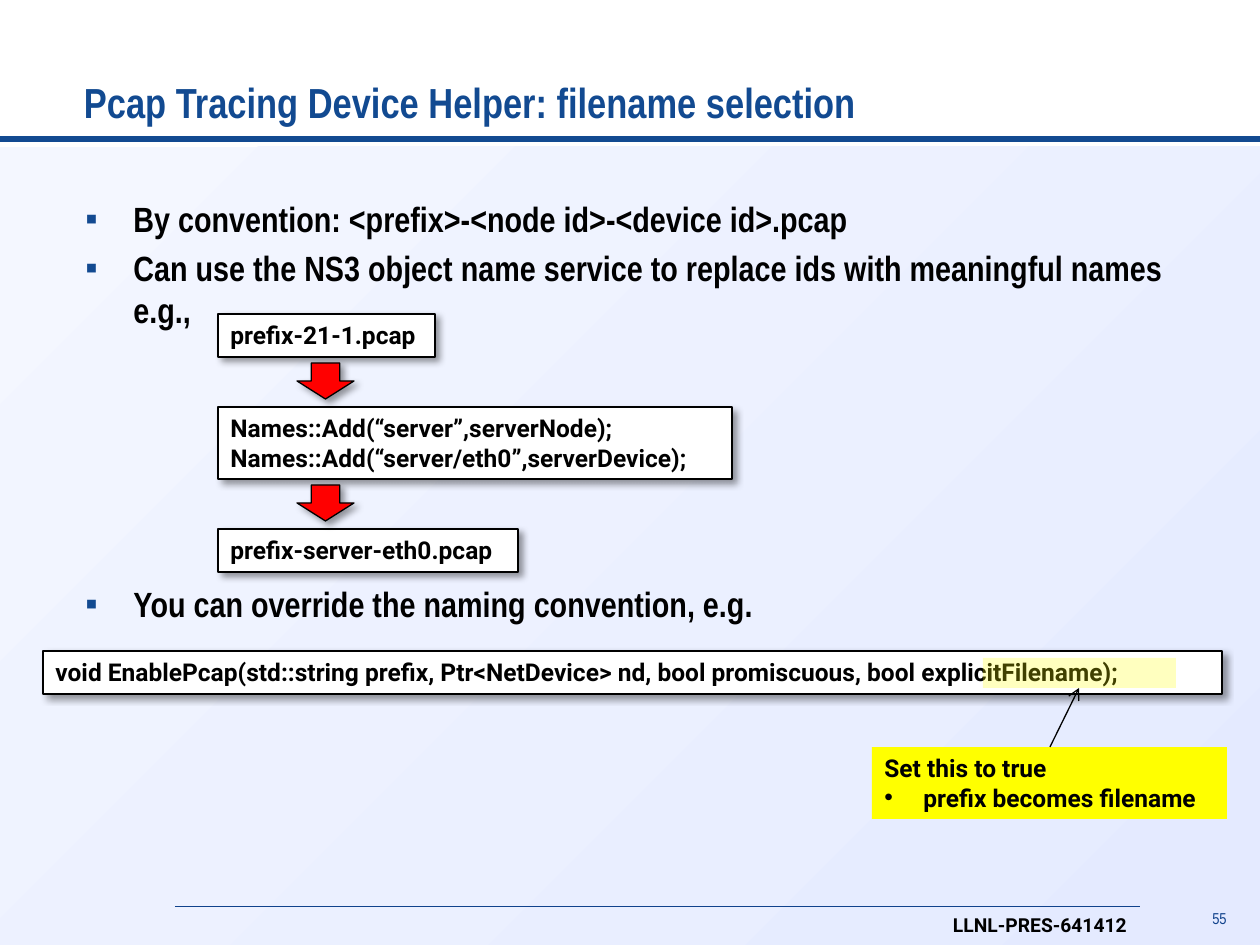
"""Build the slide on choosing file names for pcap traces."""
from dataclasses import dataclass
from typing import Optional

from lxml import etree
from pptx import Presentation
from pptx import util as u
from pptx.dml.color import RGBColor
from pptx.enum import shapes, text
from pptx.oxml.ns import qn

PX = 914400 / 126
NAVY, BLUE, BLACK, WHITE = "124A91", "10428C", "000000", "FFFFFF"
RED, YELLOW = "FF0000", "FFFF00"
NARROW, ROBOTO = "Arial Narrow", "Roboto"
RECT, ARROW = shapes.MSO_SHAPE.RECTANGLE, shapes.MSO_SHAPE.DOWN_ARROW
LEFT, RIGHT = text.PP_ALIGN.LEFT, text.PP_ALIGN.RIGHT
TOP, BOTTOM = text.MSO_ANCHOR.TOP, text.MSO_ANCHOR.BOTTOM


@dataclass
class Box:
    """A filled shape, optionally outlined with a shadow and holding text."""
    x: int
    y: int
    w: int
    h: int
    fill: str = WHITE
    lines: tuple = ()
    kind: int = RECT
    framed: bool = True
    alpha: Optional[int] = None


@dataclass
class Label:
    """A plain text box."""
    x: int
    y: int
    w: int
    h: int
    words: str
    size: int
    font: str
    color: str
    bold: bool = True
    align: int = LEFT
    anchor: int = TOP
    inset: int = 13


def px(n: int) -> u.Emu:
    """Turn px into EMU."""
    return u.Emu(round(n * PX))


def rgb(value: str) -> RGBColor:
    """Turn a hex string into a colour."""
    return RGBColor.from_string(value)


def add_xml(parent, tag: str, **attrs):
    """Append a DrawingML element with attributes."""
    return etree.SubElement(parent, qn(tag), {k: str(v) for k, v in attrs.items()})


def add_shadow(sp) -> None:
    """Give a shape a soft shadow to its lower right."""
    sp.shadow.inherit = False
    effects = sp._element.spPr.find(qn("a:effectLst"))
    shadow = add_xml(effects, "a:outerShdw", blurRad=u.Pt(4), dist=u.Pt(3),
                     dir=45 * 60000, algn="tl", rotWithShape=0)
    add_xml(add_xml(shadow, "a:srgbClr", val=BLACK), "a:alpha", val=40000)


def add_bullet(p, char: str, indent: int, color: str) -> None:
    """Give a paragraph a hanging bullet."""
    pPr = p._p.get_or_add_pPr()
    pPr.set("marL", str(px(indent)))
    pPr.set("indent", str(-px(indent)))
    add_xml(add_xml(pPr, "a:buClr"), "a:srgbClr", val=color)
    add_xml(pPr, "a:buFont", typeface="Arial")
    add_xml(pPr, "a:buChar", char=char)


def set_font(p, size: int, font: str, color: str, bold: bool = True) -> None:
    """Format every run of a paragraph."""
    for r in p.runs:
        r.font.size, r.font.name, r.font.bold = u.Pt(size), font, bold
        r.font.color.rgb = rgb(color)


def draw_box(s, b: Box):
    """Draw a box with its text."""
    sp = s.shapes.add_shape(b.kind, px(b.x), px(b.y), px(b.w), px(b.h))
    sp.fill.solid()
    sp.fill.fore_color.rgb = rgb(b.fill)
    if b.alpha is not None:
        clr = sp._element.spPr.find(qn("a:solidFill"))[0]
        add_xml(clr, "a:alpha", val=b.alpha * 1000)
    if b.framed:
        sp.line.color.rgb, sp.line.width = rgb(BLACK), u.Pt(0.75)
        add_shadow(sp)
    else:
        sp.line.fill.background()
        sp.shadow.inherit = False
    if b.lines:
        tf = sp.text_frame
        tf.word_wrap, tf.vertical_anchor = True, TOP
        tf.text = "\n".join(b.lines)
        for p in tf.paragraphs:
            p.alignment = LEFT
            set_font(p, 14, ROBOTO, BLACK)
    return sp


def draw_label(s, t: Label):
    """Draw a one-paragraph text box."""
    tf = s.shapes.add_textbox(px(t.x), px(t.y), px(t.w), px(t.h)).text_frame
    tf.word_wrap, tf.vertical_anchor, tf.margin_left = True, t.anchor, px(t.inset)
    tf.text = t.words
    p = tf.paragraphs[0]
    p.alignment = t.align
    set_font(p, t.size, t.font, t.color, t.bold)
    return p


def draw_line(s, x1: int, y1: int, x2: int, y2: int, color: str, width: float):
    """Draw a straight line without a shadow."""
    line = s.shapes.add_connector(shapes.MSO_CONNECTOR.STRAIGHT,
                                  px(x1), px(y1), px(x2), px(y2))
    line.line.color.rgb, line.line.width = rgb(color), u.Pt(width)
    add_xml(line._element.spPr, "a:effectLst")
    return line


def draw_frame(s) -> None:
    """Draw the background, rules, footer and title."""
    panel = draw_box(s, Box(0, 147, 1260, 798, framed=False))
    panel.fill.gradient()
    panel.fill.gradient_angle = 315
    for stop, color in zip(panel.fill.gradient_stops, ("F4F7FF", "E4EAFF")):
        stop.color.rgb = rgb(color)
    draw_box(s, Box(0, 136, 1260, 6, NAVY, framed=False))
    draw_line(s, 175, 906, 1140, 906, BLUE, 0.5)
    number = draw_label(s, Label(1196, 907, 43, 28, "55", 9, NARROW, BLUE,
                                 bold=False, align=RIGHT, inset=0))
    number.line_spacing = 0.75
    draw_label(s, Label(940, 907, 205, 37, "LLNL-PRES-641412", 11, ROBOTO, BLACK))
    draw_label(s, Label(84, 21, 1095, 112, "Pcap Tracing Device Helper: filename selection",
                        24, NARROW, NAVY, anchor=BOTTOM, inset=0))


def draw_body(s) -> None:
    """Draw the bulleted points, leaving room for the diagram."""
    points = (("By convention: <prefix>-<node id>-<device id>.pcap", 0),
              ("Can use the NS3 object name service to replace ids with "
               "meaningful names e.g.,", 4),
              ("You can override the naming convention, e.g.", 144))
    tf = s.shapes.add_textbox(px(73), px(191), px(1113), px(650)).text_frame
    tf.word_wrap = True
    tf.text = "\n".join(words for words, _ in points)
    for p, (_, before) in zip(tf.paragraphs, points):
        p.space_before = u.Pt(before)
        add_bullet(p, "▪", 48, NAVY)
        set_font(p, 20, NARROW, BLACK)


def draw_diagram(s) -> None:
    """Draw the renaming steps, the signature and its callout."""
    steps = (Box(218, 314, 217, 43, lines=("prefix-21-1.pcap",)),
             Box(218, 407, 514, 72, lines=("Names::Add(“server”,serverNode);",
                                           "Names::Add(“server/eth0”,serverDevice);")),
             Box(218, 529, 300, 43, lines=("prefix-server-eth0.pcap",)))
    for step in steps:
        draw_box(s, step)
    for step in steps[:-1]:
        draw_box(s, Box(297, step.y + step.h + 6, 57, 36, RED, kind=ARROW))
    callout = draw_box(s, Box(872, 747, 355, 72, YELLOW, framed=False,
                              lines=("Set this to true", "prefix becomes filename")))
    add_bullet(callout.text_frame.paragraphs[1], "•", 39, BLACK)
    draw_box(s, Box(43, 651, 1179, 43, lines=(
        "void EnablePcap(std::string prefix, Ptr<NetDevice> nd, "
        "bool promiscuous, bool explicitFilename);",)))
    draw_box(s, Box(983, 658, 193, 30, YELLOW, framed=False, alpha=25))
    pointer = draw_line(s, 1050, 747, 1079, 688, BLACK, 0.75)
    add_xml(pointer.line._get_or_add_ln(), "a:tailEnd", type="arrow")


def main() -> None:
    """Build and save the slide."""
    prs = Presentation()
    prs.slide_width, prs.slide_height = px(1260), px(945)
    s = prs.slides.add_slide(prs.slide_layouts[6])
    draw_frame(s)
    draw_body(s)
    draw_diagram(s)
    prs.save("out.pptx")


if __name__ == "__main__":
    main()
